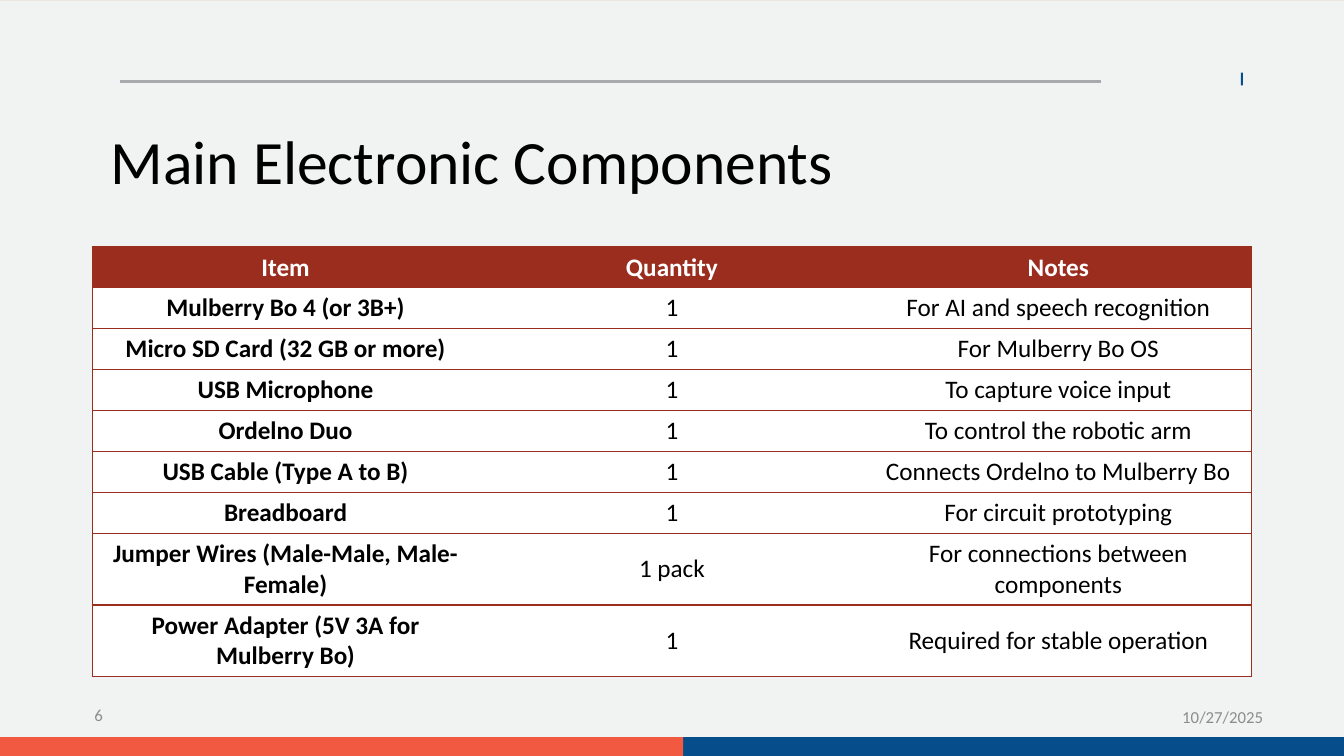
import dataclasses

import pptx
import pptx.dml.color
import pptx.enum.shapes
import pptx.enum.text
import pptx.oxml
import pptx.oxml.ns
import pptx.util

Pt = pptx.util.Pt
Align = pptx.enum.text.PP_ALIGN
Anchor = pptx.enum.text.MSO_ANCHOR


@dataclasses.dataclass(frozen=True)
class Theme:
    font: str = "Calibri"
    edge: str = "E9E5DC"
    panel: str = "F1F2F2"
    rule: str = "A7A9AC"
    blue: str = "064E8B"
    coral: str = "F15A41"
    red: str = "9B2D1F"
    white: str = "FFFFFF"
    ink: str = "000000"
    muted: str = "8C8C8C"
    title_size: float = 44
    body_size: float = 18
    footer_size: float = 12


THEME = Theme()
WIDTH, HEIGHT = 960, 540

HEADINGS = ("Item", "Quantity", "Notes")
COMPONENTS = (
    ("Mulberry Bo 4 (or 3B+)", "1", "For AI and speech recognition"),
    ("Micro SD Card (32 GB or more)", "1", "For Mulberry Bo OS"),
    ("USB Microphone", "1", "To capture voice input"),
    ("Ordelno Duo", "1", "To control the robotic arm"),
    ("USB Cable (Type A to B)", "1", "Connects Ordelno to Mulberry Bo"),
    ("Breadboard", "1", "For circuit prototyping"),
    ("Jumper Wires (Male-Male, Male-Female)", "1 pack",
     "For connections between components"),
    ("Power Adapter (5V 3A for Mulberry Bo)", "1",
     "Required for stable operation"),
)
ROW_HEIGHT, TALL_ROW_HEIGHT = 29.25, 51.2
TWO_LINE_ROWS = (7, 8)


def rgb(color):
    return pptx.dml.color.RGBColor.from_string(color)


def write(frame, text, *, size, color, bold=False, align=Align.LEFT, spacing=1.0):
    frame.word_wrap = True
    paragraph = frame.paragraphs[0]
    paragraph.alignment = align
    paragraph.line_spacing = spacing
    run = paragraph.add_run()
    run.text = text
    run.font.name = THEME.font
    run.font.size = Pt(size)
    run.font.bold = bold
    run.font.color.rgb = rgb(color)


def add_label(slide, box, text, *, anchor=Anchor.MIDDLE, **text_format):
    label = slide.shapes.add_textbox(*map(Pt, box))
    label.text_frame.vertical_anchor = anchor
    write(label.text_frame, text, **text_format)


def add_block(slide, box, color):
    block = slide.shapes.add_shape(
        pptx.enum.shapes.MSO_SHAPE.RECTANGLE, *map(Pt, box))
    block.shadow.inherit = False
    block.fill.solid()
    block.fill.fore_color.rgb = rgb(color)
    block.line.fill.background()


def set_borders(cell, visible_sides):
    """Draw 1 pt borders on the named sides and clear the others."""
    properties = cell._tc.get_or_add_tcPr()
    for position, side in enumerate("LRTB"):
        paint = "<a:noFill/>"
        if side in visible_sides:
            paint = f'<a:solidFill><a:srgbClr val="{THEME.red}"/></a:solidFill>'
        properties.insert(position, pptx.oxml.parse_xml(
            f'<a:ln{side} {pptx.oxml.ns.nsdecls("a")} w="12700">{paint}</a:ln{side}>'))


def draw_header(slide, box):
    left, top, width, height = box
    # Rule and small accent mark
    rule = slide.shapes.add_connector(
        pptx.enum.shapes.MSO_CONNECTOR.STRAIGHT,
        Pt(left + 13.7), Pt(top + 6.5), Pt(left + 714.2), Pt(top + 6.5))
    rule.line.color.rgb = rgb(THEME.rule)
    rule.line.width = Pt(2.25)
    rule._element.spPr.append(pptx.oxml.parse_xml(
        f'<a:effectLst {pptx.oxml.ns.nsdecls("a")}/>'))
    add_block(slide, (left + 814.3, top, 1.5, 9), THEME.blue)
    # Title
    add_label(slide, (left, top + 38, width, height - 38),
              "Main Electronic Components", anchor=Anchor.TOP,
              size=THEME.title_size, color=THEME.ink, spacing=0.9)


def draw_components(slide, box):
    rows = (HEADINGS, *COMPONENTS)
    table = slide.shapes.add_table(
        len(rows), len(HEADINGS), *map(Pt, box)).table
    table.horz_banding = False
    for column in table.columns:
        column.width = Pt(box[2] / len(HEADINGS))

    for row_index, values in enumerate(rows):
        is_heading = row_index == 0
        table.rows[row_index].height = Pt(
            TALL_ROW_HEIGHT if row_index in TWO_LINE_ROWS else ROW_HEIGHT)
        for column_index, value in enumerate(values):
            cell = table.cell(row_index, column_index)
            cell.vertical_anchor = Anchor.MIDDLE
            cell.fill.solid()
            cell.fill.fore_color.rgb = rgb(THEME.red if is_heading else THEME.white)
            # Only the outer sides carry vertical borders
            set_borders(cell, "TB" + ("L", "", "R")[column_index])
            write(cell.text_frame, value, size=THEME.body_size,
                  color=THEME.white if is_heading else THEME.ink,
                  bold=is_heading or column_index == 0, align=Align.CENTER)


def draw_footer(slide, box):
    left, top, width, height = box
    # Slide number and date
    footer_format = {"size": THEME.footer_size, "color": THEME.muted}
    add_label(slide, (left, top, 80.6, 31), "6", align=Align.RIGHT, **footer_format)
    add_label(slide, (left + 837.4, top + 1.4, 86, 31), "10/27/2025", **footer_format)
    # Two-colour band
    band_top, band_height, split = top + height - 13.5, 13.5, 488
    add_block(slide, (left + split, band_top, width - split, band_height), THEME.blue)
    add_block(slide, (left, band_top, split, band_height), THEME.coral)


def draw_components_slide(slide, box):
    left, top, width, height = box
    # Background with a thin edge along the top
    slide.background.fill.solid()
    slide.background.fill.fore_color.rgb = rgb(THEME.edge)
    add_block(slide, (left, top + 0.7, width, height - 0.7), THEME.panel)
    draw_header(slide, (left + 72, top + 52, 828, 142))
    draw_footer(slide, (left, top + 495.4, width, height - 495.4))
    draw_components(slide, (left + 66, top + 176.4, 828, 307))


def main():
    presentation = pptx.Presentation()
    presentation.slide_width = Pt(WIDTH)
    presentation.slide_height = Pt(HEIGHT)
    slide = presentation.slides.add_slide(presentation.slide_layouts[6])
    draw_components_slide(slide, (0, 0, WIDTH, HEIGHT))
    presentation.save("out.pptx")


if __name__ == "__main__":
    main()
